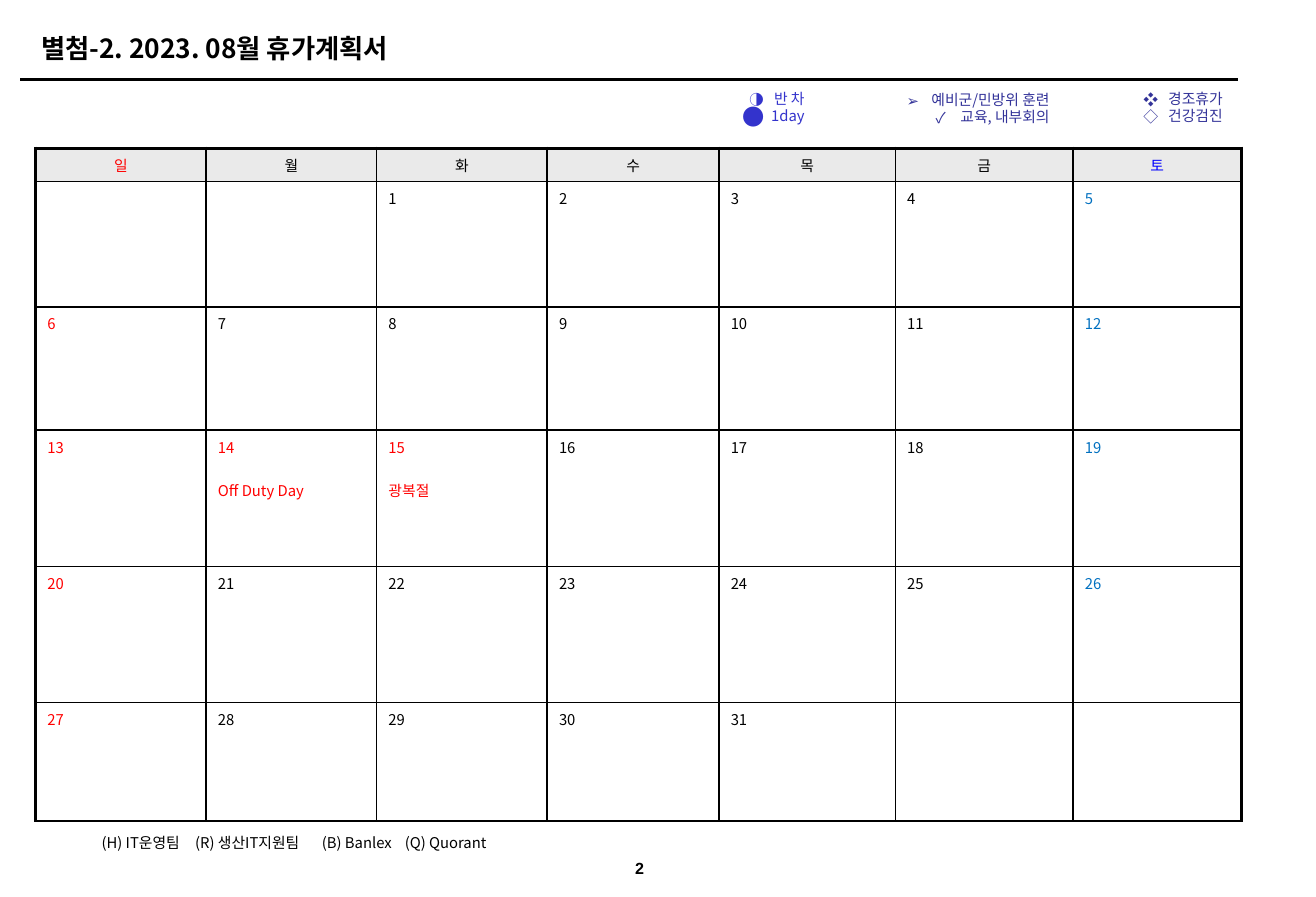
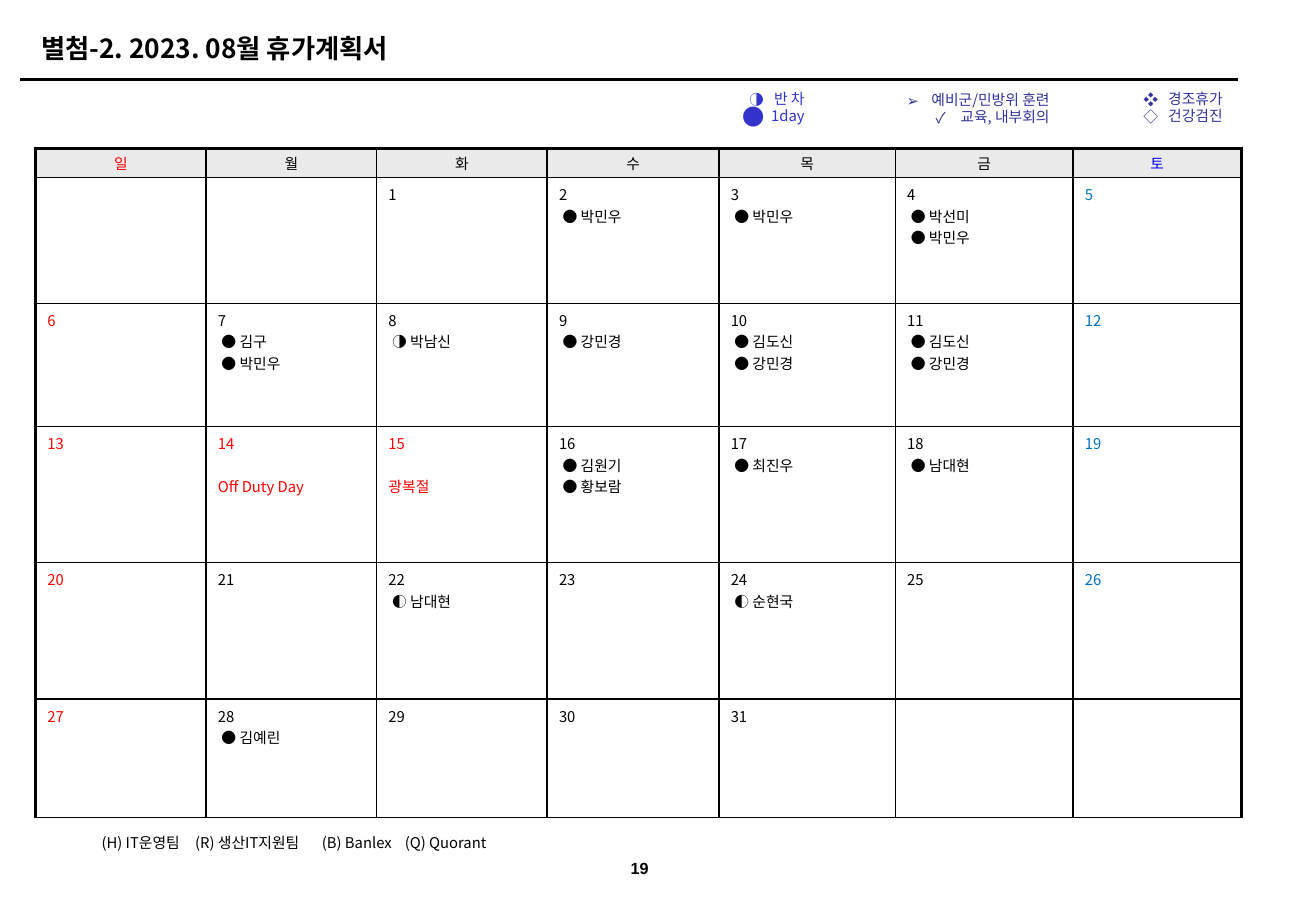
from lxml.etree import SubElement
from pptx import Presentation
from pptx.dml.color import RGBColor
from pptx.enum.shapes import MSO_CONNECTOR as Connector
from pptx.enum.text import MSO_ANCHOR as Anchor, MSO_AUTO_SIZE as AutoSize, PP_ALIGN as Align
from pptx.oxml import parse_xml
from pptx.oxml.ns import nsdecls, qn
from pptx.util import Emu, Pt

PX = 9144
FONT = "Noto Sans CJK KR"
BLACK, RED, BLUE, SKY = "000000", "FF0000", "0000FF", "0070C0"
WHITE, GREY, VIOLET, INDIGO = "FFFFFF", "EAEAEA", "3333CC", "333399"

TITLE = "별첨-2. 2023. 08월 휴가계획서"
WEEKDAYS = "일월화수목금토"
DAYS_IN_MONTH, FIRST_COLUMN = 31, 2
COLUMNS = (144, 144, 144, 145, 149, 150, 142)
WEEKS = (106, 104, 115, 115, 100)
HOLIDAYS = {14: "Off Duty Day", 15: "광복절"}
TEAMS = ("(H) IT운영팀", "(R) 생산IT지원팀", "(B) Banlex", "(Q) Quorant")
TEAM_TABS = (79, 186, 256)
LEGENDS = (
    ((617, 72, 72, 40), VIOLET, 10, (("◑", "반 차", 21, 100), ("●", "1day", 24, 150))),
    ((741, 73, 158, 39), INDIGO, 13,
     (("➢", "예비군/민방위 훈련", 21, 100), ("✓", "교육, 내부회의", 21, 100))),
    ((859, 72, 183, 39), INDIGO, 10, (("❖", "경조휴가", 21, 100), ("◇", "건강검진", 21, 100))),
)
LEAVES = {
    2: ["● 박민우"], 3: ["● 박민우"], 4: ["● 박선미", "● 박민우"],
    7: ["● 김구", "● 박민우"], 8: ["◑ 박남신"], 9: ["● 강민경"],
    10: ["● 김도신", "● 강민경"], 11: ["● 김도신", "● 강민경"],
    16: ["● 김원기", "● 황보람"], 17: ["● 최진우"], 18: ["● 남대현"],
    22: ["◐ 남대현"], 24: ["◐ 순현국"], 28: ["● 김예린"],
}


def px(n):
    """Turn px into EMU."""
    return Emu(n * PX)


def rgb(color):
    """Turn a hex string into a colour."""
    return RGBColor.from_string(color)


def add_text(tf, text, new=True, size=9, color=BLACK, bold=False, font=FONT,
             align=Align.LEFT, spacing=1.0, before=0, indent=0, hanging=0):
    """Write one formatted paragraph, appended when new is true."""
    p = tf.add_paragraph() if new else tf.paragraphs[0]
    p.alignment, p.line_spacing = align, spacing
    if before:
        p.space_before = Pt(before)
    if indent:
        pPr = p._p.get_or_add_pPr()
        pPr.set("marL", str(px(indent)))
        pPr.set("indent", str(px(-hanging)))
    r = p.add_run()
    r.text = text
    r.font.size, r.font.bold, r.font.name = Pt(size), bold, font
    r.font.color.rgb = rgb(color)
    SubElement(r._r.get_or_add_rPr(), qn("a:ea")).set("typeface", font)
    return p


def add_bullet(p, char, color, percent):
    """Give a paragraph a coloured bullet."""
    pPr = p._p.get_or_add_pPr()
    clr = SubElement(pPr, qn("a:buClr"))
    SubElement(clr, qn("a:srgbClr")).set("val", color)
    SubElement(pPr, qn("a:buSzPct")).set("val", str(percent * 1000))
    SubElement(pPr, qn("a:buFont")).set("typeface", FONT)
    SubElement(pPr, qn("a:buChar")).set("char", char)


def add_box(s, box, anchor=Anchor.TOP, wrap=True):
    """Add a text box and return its text frame."""
    tf = s.shapes.add_textbox(*map(px, box)).text_frame
    tf.word_wrap, tf.vertical_anchor = wrap, anchor
    return tf


def add_title(s, box):
    """Place the title and the rule beneath it."""
    x, y, w, h = box
    sp = s.shapes.title
    sp.left, sp.top, sp.width, sp.height = map(px, box)
    tf = sp.text_frame
    tf.auto_size, tf.word_wrap, tf.vertical_anchor = AutoSize.NONE, True, Anchor.MIDDLE
    add_text(tf, TITLE, new=False, size=16, bold=True)
    rule = s.shapes.add_connector(
        Connector.STRAIGHT, px(x - 8), px(y + h + 8), px(x + w + 30), px(y + h + 8))
    rule.line.color.rgb, rule.line.width = rgb(BLACK), Pt(1.5)
    SubElement(rule._element.spPr, qn("a:effectLst"))


def add_legend(s, box, color, margin, entries):
    """Add a right-aligned list of leave symbols."""
    tf = add_box(s, box)
    tf.margin_right = px(margin)
    for i, (char, label, indent, percent) in enumerate(entries):
        p = add_text(tf, label, new=i > 0, color=color, align=Align.RIGHT,
                     spacing=0.95, indent=indent, hanging=indent)
        add_bullet(p, char, color, percent)


def set_cell(cell, fill, left, right, top):
    """Set the fill and border widths of a cell."""
    cell.fill.solid()
    cell.fill.fore_color.rgb = rgb(fill)
    tcPr = cell._tc.get_or_add_tcPr()
    for i, (side, width) in enumerate(zip("LRTB", (left, right, top, 1))):
        tcPr.insert(i, parse_xml(
            f'<a:ln{side} {nsdecls("a")} w="{Pt(width)}"><a:solidFill>'
            f'<a:srgbClr val="{BLACK}"/></a:solidFill></a:ln{side}>'))


def fill_day(tf, day, column, leaves):
    """Write the date, its holiday and its leaves."""
    color = RED if column == 0 or day in HOLIDAYS else SKY if column == 6 else BLACK
    add_text(tf, str(day), new=False, color=color)
    if day in HOLIDAYS:
        add_text(tf, HOLIDAYS[day], color=color, before=13)
    for leave in leaves:
        add_text(tf, leave, indent=3)


def add_calendar(s, x, y, header, leaves):
    """Build the month table with a header row of the given height."""
    rows = (header, *WEEKS)
    table = s.shapes.add_table(len(rows), len(COLUMNS), px(x), px(y),
                               px(sum(COLUMNS)), px(sum(rows))).table
    table.first_row = table.horz_banding = False
    for row, height in zip(table.rows, rows):
        row.height = px(height)
    for c, width in enumerate(COLUMNS):
        table.columns[c].width = px(width)
        for r in range(len(rows)):
            cell = table.cell(r, c)
            set_cell(cell, WHITE if r else GREY, left=1 if c else 2,
                     right=2 if c == 6 else 1, top=1 if r else 2)
            day = 7 * (r - 1) + c - FIRST_COLUMN + 1
            if r == 0:
                cell.vertical_anchor = Anchor.MIDDLE
                cell.margin_top = cell.margin_bottom = px(3)
                add_text(cell.text_frame, WEEKDAYS[c], new=False, align=Align.CENTER,
                         color={0: RED, 6: BLUE}.get(c, BLACK))
            elif 1 <= day <= DAYS_IN_MONTH:
                fill_day(cell.text_frame, day, c, leaves.get(day, ()))


def add_footer(s, number):
    """Add the team key and the page number."""
    tf = add_box(s, (76, 700, 360, 24), Anchor.MIDDLE)
    p = add_text(tf, "\t".join(TEAMS), new=False, spacing=0.95)
    tabs = SubElement(p._p.get_or_add_pPr(), qn("a:tabLst"))
    for pos in TEAM_TABS:
        tab = SubElement(tabs, qn("a:tab"))
        tab.set("pos", str(px(pos)))
        tab.set("algn", "l")
    tf = add_box(s, (513, 717, 54, 31), Anchor.MIDDLE, wrap=False)
    add_text(tf, str(number), new=False, size=9.8, bold=True, font="Arial", align=Align.CENTER)


def add_plan(prs, number, header, leaves):
    """Add one monthly leave plan slide."""
    s = prs.slides.add_slide(prs.slide_layouts[5])
    add_title(s, (25, 22, 990, 37))
    add_calendar(s, 30, 125, header, leaves)
    for legend in LEGENDS:
        add_legend(s, *legend)
    add_footer(s, number)


def main():
    """Build and save the presentation."""
    prs = Presentation()
    prs.slide_width, prs.slide_height = px(1111), px(757)
    add_plan(prs, 2, 28, {})
    add_plan(prs, 19, 25, LEAVES)
    prs.save("out.pptx")


if __name__ == "__main__":
    main()
